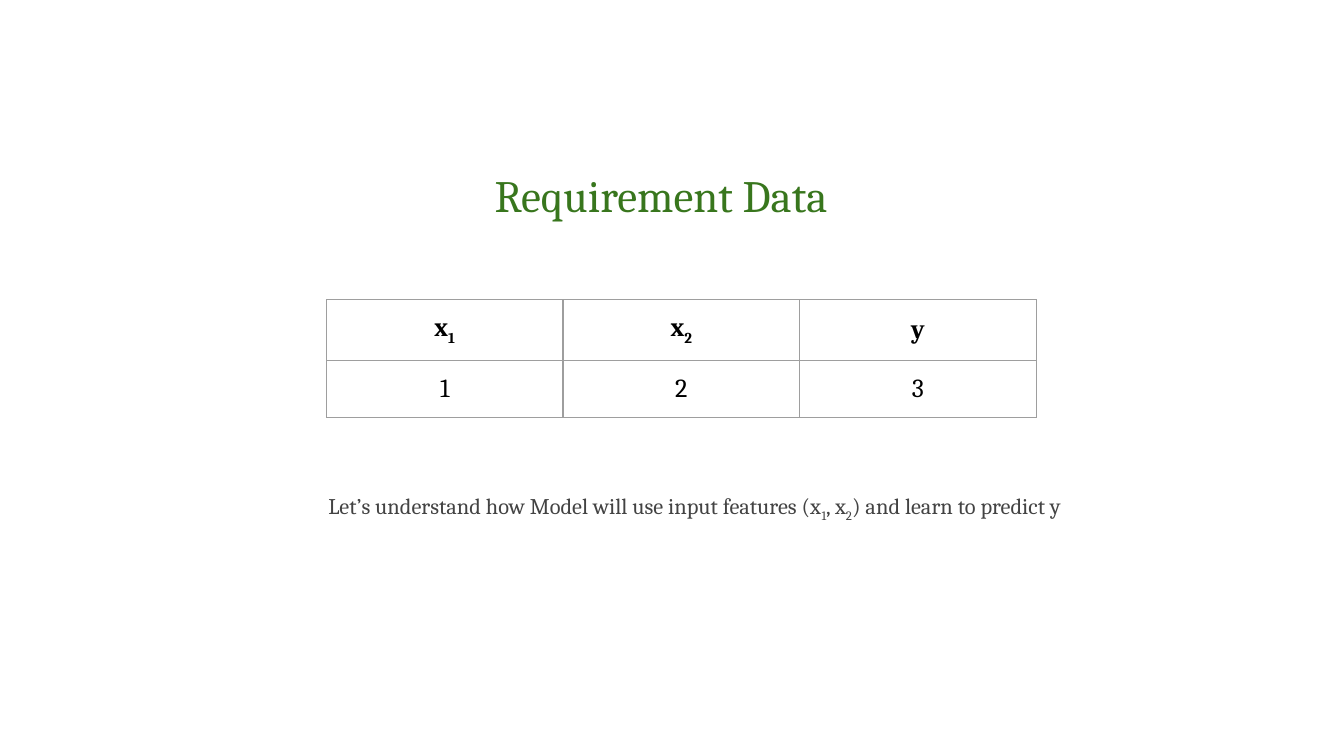
import pptx
import pptx.dml.color
import pptx.enum.text
import pptx.oxml
import pptx.oxml.ns
import pptx.util
from pptx.util import Inches

FONT = "Cambria"
GREEN, GREY, LIGHT_GREY = "38761D", "434343", "999999"
BLACK, WHITE, BORDER = "000000", "FFFFFF", "9E9E9E"
ROWS = [["x_1", "x_2", "y"], ["1", "2", "3"]]
PAGE_WIDTH = 10
PAGE_HEIGHT = PAGE_WIDTH * 9 / 16
COLUMN_WIDTH, ROW_HEIGHT = 1.76, 0.42
BOX_WIDTH, BOX_HEIGHT = 8.41, 0.53


def rgb(color):
    return pptx.dml.color.RGBColor.from_string(color)


def add_span(para, text, size, color, bold=False, subscript=False):
    span = para.add_run()
    span.text = text
    span.font.name = FONT
    span.font.size = pptx.util.Pt(size)
    span.font.bold = bold
    span.font.color.rgb = rgb(color)
    if subscript:
        span.font._element.set("baseline", "-25000")


def write(para, text, **text_format):
    """Add centred text; the character after each underscore is a subscript."""
    para.alignment = pptx.enum.text.PP_ALIGN.CENTER
    first, *rest = text.split("_")
    add_span(para, first, **text_format)
    for part in rest:
        add_span(para, part[0], subscript=True, **text_format)
        if part[1:]:
            add_span(para, part[1:], **text_format)


def set_margins(holder):
    holder.margin_left = holder.margin_right = Inches(0.1)
    holder.margin_top = holder.margin_bottom = Inches(0.1)
    holder.vertical_anchor = pptx.enum.text.MSO_ANCHOR.MIDDLE


def format_frame(box):
    """Prepare the text frame of a box and return its first paragraph."""
    frame = box.text_frame
    frame.word_wrap = True
    frame.auto_size = pptx.enum.text.MSO_AUTO_SIZE.NONE
    set_margins(frame)
    return frame.paragraphs[0]


def add_title(page):
    title = page.shapes.title
    title.left, title.top = Inches(0.75), Inches(1.18)
    title.width, title.height = Inches(BOX_WIDTH), Inches(BOX_HEIGHT)
    write(format_frame(title), "Requirement Data ", size=24, color=GREEN)


def add_caption(page):
    box = page.shapes.add_textbox(
        Inches(1), Inches(3.43), Inches(BOX_WIDTH), Inches(BOX_HEIGHT))
    para = format_frame(box)
    write(para,
          "Let’s understand how Model will use input features (x_1, x_2) and learn to predict y",
          size=12, color=GREY)
    write(para, " ", size=24, color=LIGHT_GREY)


def add_borders(cell):
    properties = cell._tc.get_or_add_tcPr()
    for side in ("lnL", "lnR", "lnT", "lnB"):
        properties.append(pptx.oxml.parse_xml(
            f'<a:{side} {pptx.oxml.ns.nsdecls("a")} w="{pptx.util.Pt(0.75)}">'
            f'<a:solidFill><a:srgbClr val="{BORDER}"/></a:solidFill></a:{side}>'))


def add_data_table(page):
    columns = len(ROWS[0])
    table = page.shapes.add_table(
        len(ROWS), columns, Inches(2.43), Inches(2.23),
        Inches(COLUMN_WIDTH * columns), Inches(ROW_HEIGHT * len(ROWS))).table
    table.horz_banding = False
    for row_index, row in enumerate(ROWS):
        for column_index, text in enumerate(row):
            cell = table.cell(row_index, column_index)
            set_margins(cell)
            add_borders(cell)
            cell.fill.solid()
            cell.fill.fore_color.rgb = rgb(WHITE)
            write(cell.text_frame.paragraphs[0], text,
                  size=14, color=BLACK, bold=row_index == 0)


def main():
    deck = pptx.Presentation()
    deck.slide_width, deck.slide_height = Inches(PAGE_WIDTH), Inches(PAGE_HEIGHT)
    page = deck.slides.add_slide(deck.slide_layouts.get_by_name("Title Only"))
    add_caption(page)
    add_data_table(page)
    add_title(page)
    deck.save("out.pptx")


if __name__ == "__main__":
    main()
